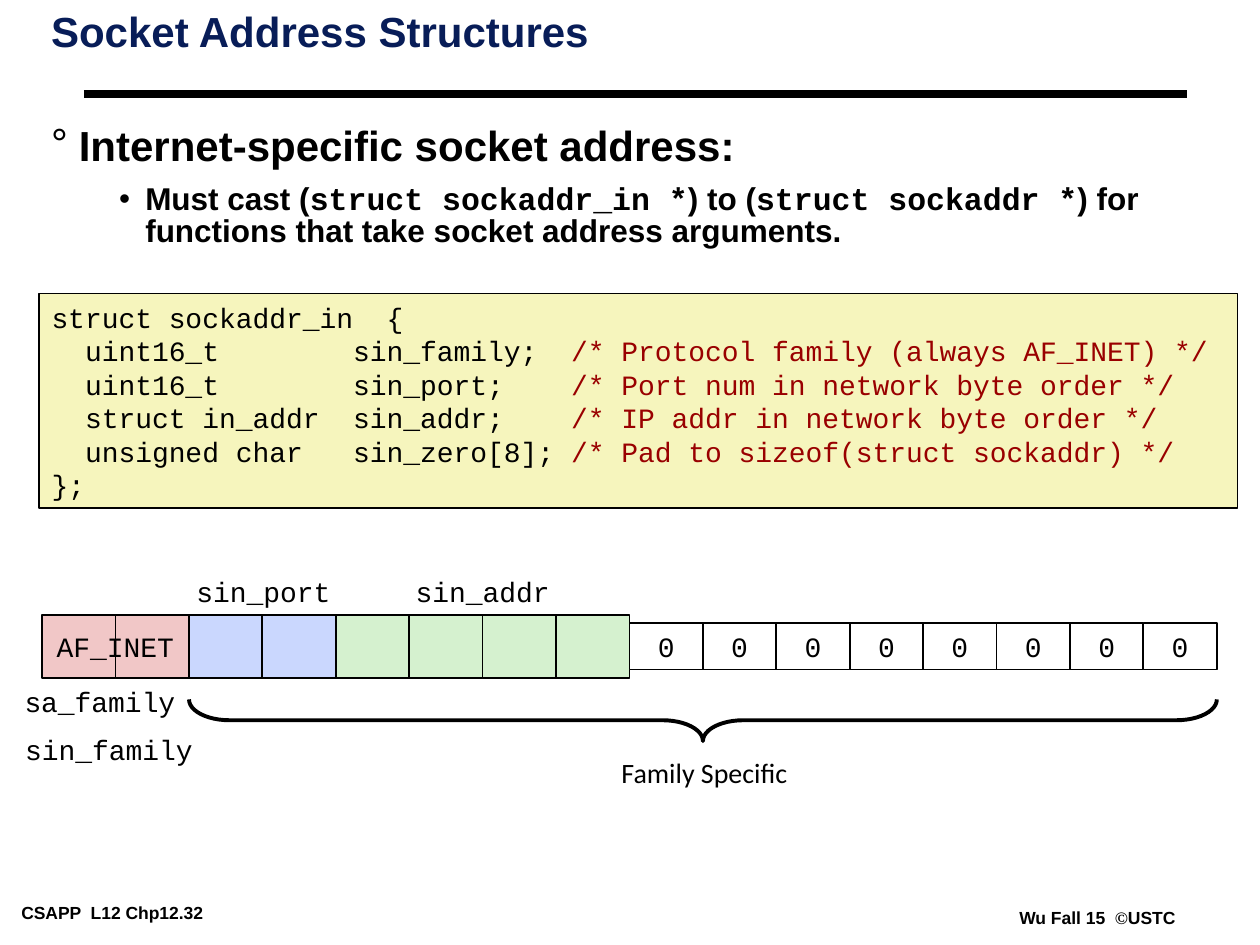
from lxml import etree
from pptx import Presentation
from pptx.dml.color import RGBColor
from pptx.enum import shapes, text
from pptx.oxml import ns
from pptx.util import Cm, Pt

BLACK = RGBColor(0x00, 0x00, 0x00)
WHITE = RGBColor(0xFF, 0xFF, 0xFF)
NAVY = RGBColor(0x08, 0x1D, 0x58)
DARK_RED = RGBColor(0x99, 0x00, 0x00)
CREAM = RGBColor(0xF6, 0xF5, 0xBD)
PINK = RGBColor(0xF1, 0xC7, 0xC7)
BLUE = RGBColor(0xCA, 0xD7, 0xFE)
GREEN = RGBColor(0xD5, 0xF1, 0xCF)
SANS, MONO, LABEL, SERIF = "Arial", "Courier New", "Calibri", "Times New Roman"

# Content
TITLE = "Socket Address Structures"
HEADING = "Internet-specific socket address:"
CAST_RULE = [
    ("Must cast (", SANS), ("struct sockaddr_in *", MONO), (") to (", SANS),
    ("struct sockaddr *", MONO),
    (") for functions that take socket address arguments.", SANS),
]
CODE = [
    ("struct sockaddr_in  {", ""),
    ("  uint16_t        sin_family;  ", "/* Protocol family (always AF_INET) */"),
    ("  uint16_t        sin_port;    ", "/* Port num in network byte order */"),
    ("  struct in_addr  sin_addr;    ", "/* IP addr in network byte order */"),
    ("  unsigned char   sin_zero[8]; ", "/* Pad to sizeof(struct sockaddr) */"),
    ("};", ""),
]
FIELDS = [(2, PINK, ""), (2, BLUE, ""), (4, GREEN, ""), (8, WHITE, "0")]  # bytes, fill, value
LABELS = [  # wording, font, left, top, width
    ("sa_family", MONO, 0.15, 13.67, 3.73),
    ("Family Specific", LABEL, 12.17, 15.11, 4.06),
    ("sin_port", MONO, 3.61, 11.46, 3.4),
    ("AF_INET", MONO, 0.79, 12.57, 3.07),
    ("sin_addr", MONO, 8.03, 11.46, 3.4),
    ("sin_family", MONO, 0.15, 14.63, 4.09),
]
FOOTERS = [  # runs, left, top, width
    ([("CSAPP  L12 Chp12.32", SANS)], 0.25, 18.11, 5.33),
    ([("Wu Fall 15  ", SANS), ("©", SERIF), ("USTC", SANS)], 20.37, 18.21, 3.9),
]

# Byte grid
BYTE_LEFT, BYTE_WIDTH, BYTE_MIDDLE = 0.85, 1.48, 13.03
FILLED_HEIGHT, ZERO_HEIGHT = 1.27, 0.94
LABEL_HEIGHT = 0.94
TIGHT, NORMAL = (0.18, 0.08), (0.25, 0.13)  # horizontal and vertical insets


def set_frame(frame, insets, anchor=text.MSO_ANCHOR.TOP):
    frame.margin_left = frame.margin_right = Cm(insets[0])
    frame.margin_top = frame.margin_bottom = Cm(insets[1])
    frame.word_wrap = True
    frame.vertical_anchor = anchor


def add_run(paragraph, words, font, size, color=BLACK, bold=False):
    run = paragraph.add_run()
    run.text = words
    run.font.name, run.font.size, run.font.bold = font, Pt(size), bold
    run.font.color.rgb = color


def add_text(slide, box, insets):
    frame = slide.shapes.add_textbox(*map(Cm, box)).text_frame
    set_frame(frame, insets)
    return frame


def add_line_of_text(slide, box, insets):
    frame = add_text(slide, box, insets)
    frame.word_wrap = False
    frame.auto_size = text.MSO_AUTO_SIZE.SHAPE_TO_FIT_TEXT
    return frame.paragraphs[0]


def add_box(slide, box, fill):
    shape = slide.shapes.add_shape(shapes.MSO_SHAPE.RECTANGLE, *map(Cm, box))
    shape.shadow.inherit = False
    shape.fill.solid()
    shape.fill.fore_color.rgb = fill
    shape.line.color.rgb = BLACK
    shape.line.width = Pt(1)
    return shape


def set_bullet(paragraph, mark, left, hang):
    props = paragraph._p.get_or_add_pPr()
    props.set("marL", str(Cm(left)))
    props.set("indent", str(-Cm(hang)))
    etree.SubElement(props, ns.qn("a:buFont")).set("typeface", SANS)
    etree.SubElement(props, ns.qn("a:buChar")).set("char", mark)


def add_header(slide):
    rule = slide.shapes.add_connector(
        shapes.MSO_CONNECTOR.STRAIGHT, Cm(1.69), Cm(1.9), Cm(23.92), Cm(1.9))
    rule.line.color.rgb = BLACK
    rule.line.width = Pt(4.5)
    etree.SubElement(rule._element.spPr, ns.qn("a:effectLst"))

    title = slide.shapes.title
    title.left, title.top, title.width, title.height = map(Cm, (0.85, 0.18, 24.2, 2.15))
    set_frame(title.text_frame, TIGHT)
    line = title.text_frame.paragraphs[0]
    line.alignment = text.PP_ALIGN.LEFT
    line.line_spacing = 0.87
    add_run(line, TITLE, SANS, 24, NAVY, True)


def add_bullets(slide):
    frame = add_text(slide, (0.85, 2.57, 23.09, 4.65), TIGHT)
    heading = frame.paragraphs[0]
    heading.line_spacing = 0.75
    set_bullet(heading, "°", 0.56, 0.56)
    add_run(heading, HEADING, SANS, 24, bold=True)
    detail = frame.add_paragraph()
    detail.level = 1
    detail.line_spacing = 0.85
    detail.space_before = Pt(9)
    set_bullet(detail, "•", 1.9, 0.53)
    for words, font in CAST_RULE:
        add_run(detail, words, font, 18, bold=True)


def add_code(slide):
    frame = add_box(slide, (0.79, 5.92, 24.16, 4.32), CREAM).text_frame
    set_frame(frame, NORMAL)
    for i, (code, comment) in enumerate(CODE):
        line = frame.add_paragraph() if i else frame.paragraphs[0]
        line.alignment = text.PP_ALIGN.LEFT
        add_run(line, code, MONO, 16)
        if comment:
            add_run(line, comment, MONO, 16, DARK_RED)


def add_bytes(slide):
    left = BYTE_LEFT
    for count, fill, value in FIELDS:
        height = ZERO_HEIGHT if value else FILLED_HEIGHT
        for _ in range(count):
            cell = add_box(slide, (left, BYTE_MIDDLE - height / 2, BYTE_WIDTH, height), fill)
            if value:
                set_frame(cell.text_frame, NORMAL, text.MSO_ANCHOR.MIDDLE)
                line = cell.text_frame.paragraphs[0]
                line.alignment = text.PP_ALIGN.CENTER
                add_run(line, value, MONO, 16)
            left += BYTE_WIDTH


def add_brace(slide):
    # Spans every byte after the family field; turned to point down
    start = BYTE_LEFT + FIELDS[0][0] * BYTE_WIDTH
    span = sum(count for count, *_ in FIELDS[1:]) * BYTE_WIDTH
    depth, middle = 0.84, 14.52
    brace = slide.shapes.add_shape(
        shapes.MSO_SHAPE.RIGHT_BRACE, Cm(start + span / 2 - depth / 2),
        Cm(middle - span / 2), Cm(depth), Cm(span))
    brace.rotation = 90
    brace.adjustments[0] = 0.97
    brace.shadow.inherit = False
    brace.fill.background()
    brace.line.color.rgb = BLACK
    brace.line.width = Pt(2.25)


def main():
    deck = Presentation()
    deck.slide_width, deck.slide_height = Cm(25.4), Cm(19.05)
    slide = deck.slides.add_slide(deck.slide_layouts[5])

    # Footers
    for runs, left, top, width in FOOTERS:
        line = add_line_of_text(slide, (left, top, width, 0.56), TIGHT)
        line.alignment = text.PP_ALIGN.LEFT
        for words, font in runs:
            add_run(line, words, font, 10, bold=True)

    add_header(slide)
    add_bullets(slide)
    add_bytes(slide)
    add_brace(slide)
    add_code(slide)

    # Diagram labels
    for words, font, left, top, width in LABELS:
        line = add_line_of_text(slide, (left, top, width, LABEL_HEIGHT), NORMAL)
        line.alignment = text.PP_ALIGN.CENTER
        add_run(line, words, font, 16)

    deck.save("out.pptx")


if __name__ == "__main__":
    main()
